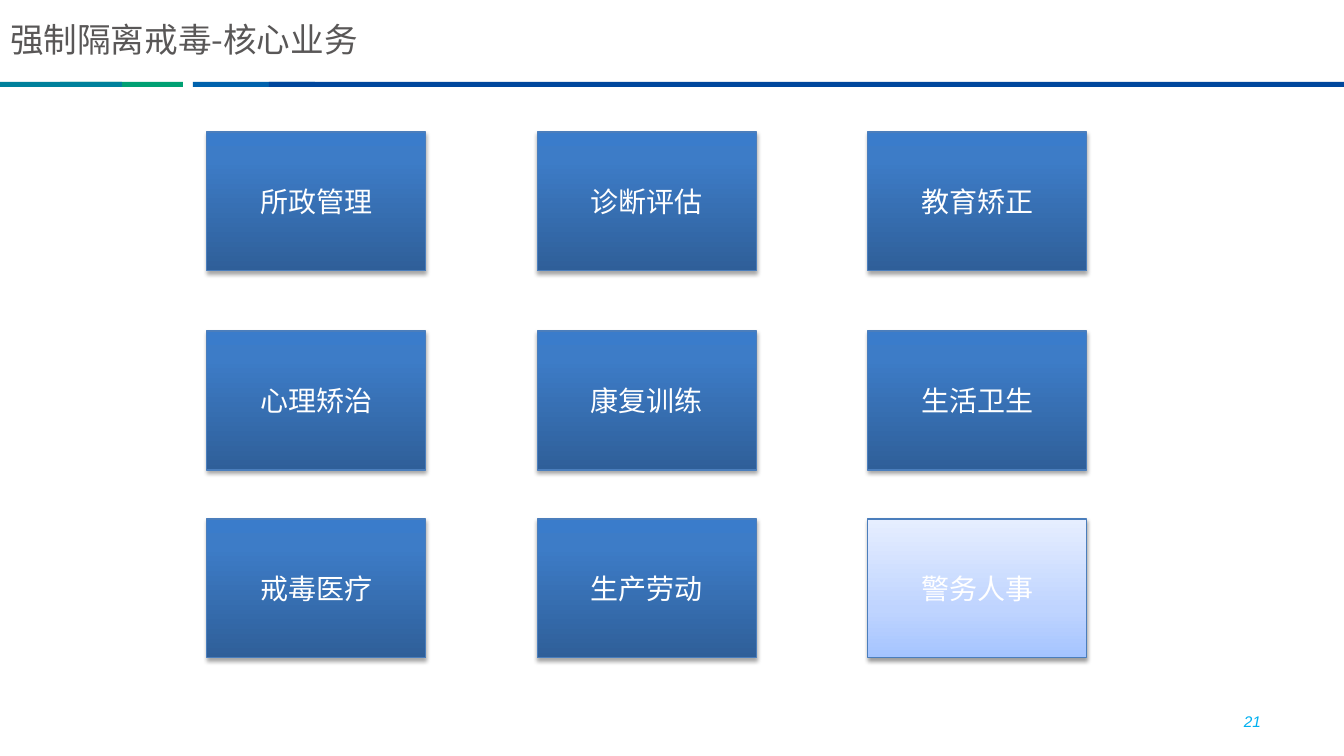
from lxml import etree
from pptx import Presentation, util as u
from pptx.dml.color import RGBColor
from pptx.enum import shapes, text
from pptx.oxml import ns

PX = 914400 / 100.8
CJK = "Noto Sans CJK SC"
BLUE = {"stops": [(0, "2F5F99"), (80, "3D7CC7"), (100, "3A7CCB")], "alpha": 35, "drop": 1.8}
PALE = {"stops": [(0, "A4C4FF"), (35, "BFD4FF"), (100, "E6EEFF")], "alpha": 38, "drop": 1.6}
TOPICS = [["所政管理", "诊断评估", "教育矫正"],
          ["心理矫治", "康复训练", "生活卫生"],
          ["戒毒医疗", "生产劳动", "警务人事"]]


def px(*lengths):
    return [u.Emu(round(length * PX)) for length in lengths]


def color(value):
    return RGBColor.from_string(value)


def add_xml(parent, tag, **attributes):
    return etree.SubElement(parent, ns.qn(tag), {k: str(v) for k, v in attributes.items()})


def write(shape, words, align, hue, **formats):
    """Put one middle-anchored line of text into a shape."""
    frame = shape.text_frame
    frame.word_wrap = True
    frame.auto_size = text.MSO_AUTO_SIZE.NONE
    frame.vertical_anchor = text.MSO_ANCHOR.MIDDLE
    para = frame.paragraphs[0]
    para.alignment = align
    span = para.add_run()
    span.text = words
    for name, value in formats.items():
        setattr(span.font, name, value)
    span.font.color.rgb = color(hue)
    add_xml(span.font._element, "a:ea", typeface=formats["name"])


def add_rect(page, box):
    rect = page.shapes.add_shape(shapes.MSO_SHAPE.RECTANGLE, *px(*box))
    rect.shadow.inherit = False
    return rect


def add_header(page, box):
    """Title with the coloured rule under it."""
    left, top, width, height = box
    # Later strips cover the ends of earlier ones
    for start, length, hue in [(60, 123, "00A073"), (193, 122, "0062AD"),
                               (269, width - 269, "00479D"), (0, 122, "00819C")]:
        strip = add_rect(page, (left + start, top + height - 5, length, 5))
        strip.fill.solid()
        strip.fill.fore_color.rgb = color(hue)
        strip.line.fill.background()
    title = page.shapes.title
    title.left, title.top, title.width, title.height = px(left, top + 12, 603, 54)
    write(title, "强制隔离戒毒-核心业务", text.PP_ALIGN.LEFT, "595757", name=CJK, size=u.Pt(24))


def add_tile(page, box, words, look):
    """Topic tile with an upward gradient and a soft drop shadow."""
    tile = add_rect(page, box)
    props = tile._element.spPr
    gradient = etree.Element(ns.qn("a:gradFill"), rotWithShape="1")
    stops = add_xml(gradient, "a:gsLst")
    for position, hue in look["stops"]:
        stop = add_xml(stops, "a:gs", pos=position * 1000)
        add_xml(stop, "a:srgbClr", val=hue)
    add_xml(gradient, "a:lin", ang=270 * 60000, scaled=0)
    props.find(ns.qn("a:prstGeom")).addnext(gradient)
    tile.line.color.rgb = color("4B7EBC")
    tile.line.width = u.Pt(0.75)
    shadow = add_xml(props.find(ns.qn("a:effectLst")), "a:outerShdw", blurRad=u.Pt(3.1),
                     dist=u.Pt(look["drop"]), dir=90 * 60000, rotWithShape=0)
    shade = add_xml(shadow, "a:srgbClr", val="000000")
    add_xml(shade, "a:alpha", val=look["alpha"] * 1000)
    write(tile, words, text.PP_ALIGN.CENTER, "FFFFFF", name=CJK, size=u.Pt(20))


def add_topics(page, box):
    """Three by three grid of topics; the last one is pale."""
    left, top, width, height = box
    tile_width, tile_height = 219, 139
    pitch = (width - tile_width) / 2
    for row, (offset, names) in enumerate(zip((0, 199, height - tile_height), TOPICS)):
        for column, words in enumerate(names):
            look = PALE if row == column == 2 else BLUE
            add_tile(page, (left + column * pitch, top + offset, tile_width, tile_height),
                     words, look)


def add_page_number(page, box):
    number = page.shapes.add_textbox(*px(*box))
    write(number, "21", text.PP_ALIGN.RIGHT, "00B0F0", name="Arial", size=u.Pt(11), italic=True)


def main():
    deck = Presentation()
    deck.slide_width, deck.slide_height = px(1344, 756)
    page = deck.slides.add_slide(deck.slide_layouts[5])
    add_header(page, (0, 0, 1344, 87))
    add_topics(page, (207, 132, 880, 526))
    add_page_number(page, (958, 701, 313, 40))
    deck.save("out.pptx")


if __name__ == "__main__":
    main()
